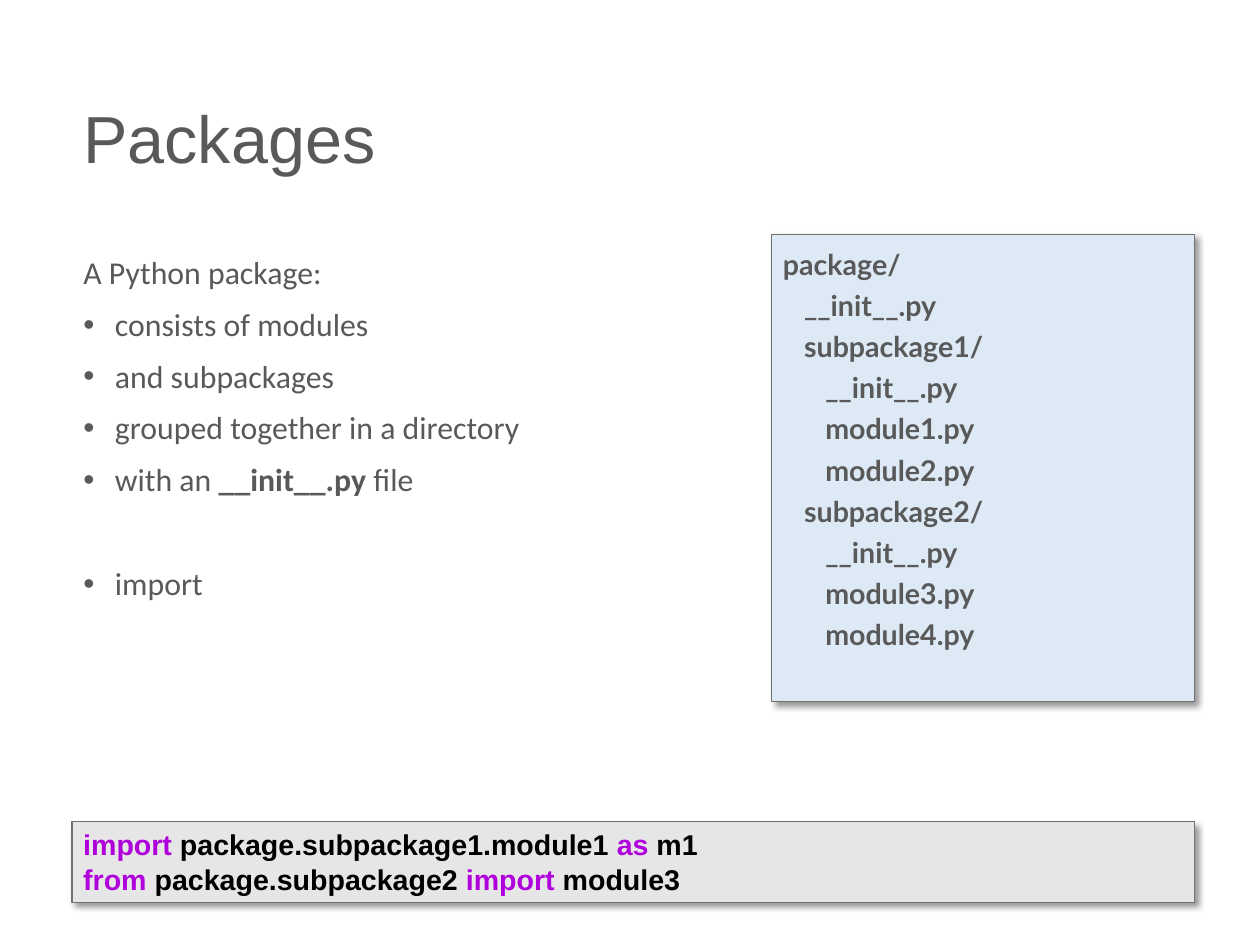
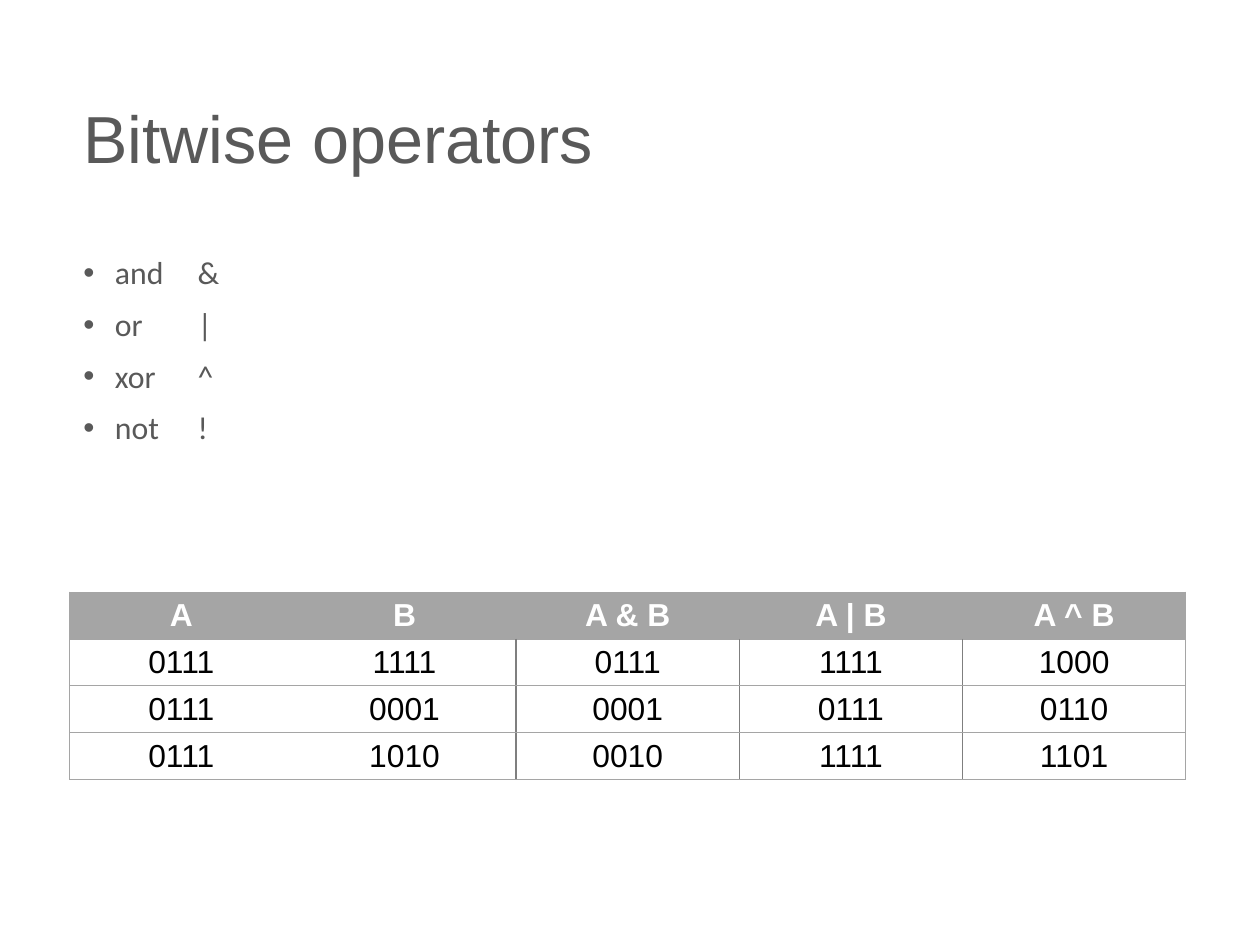
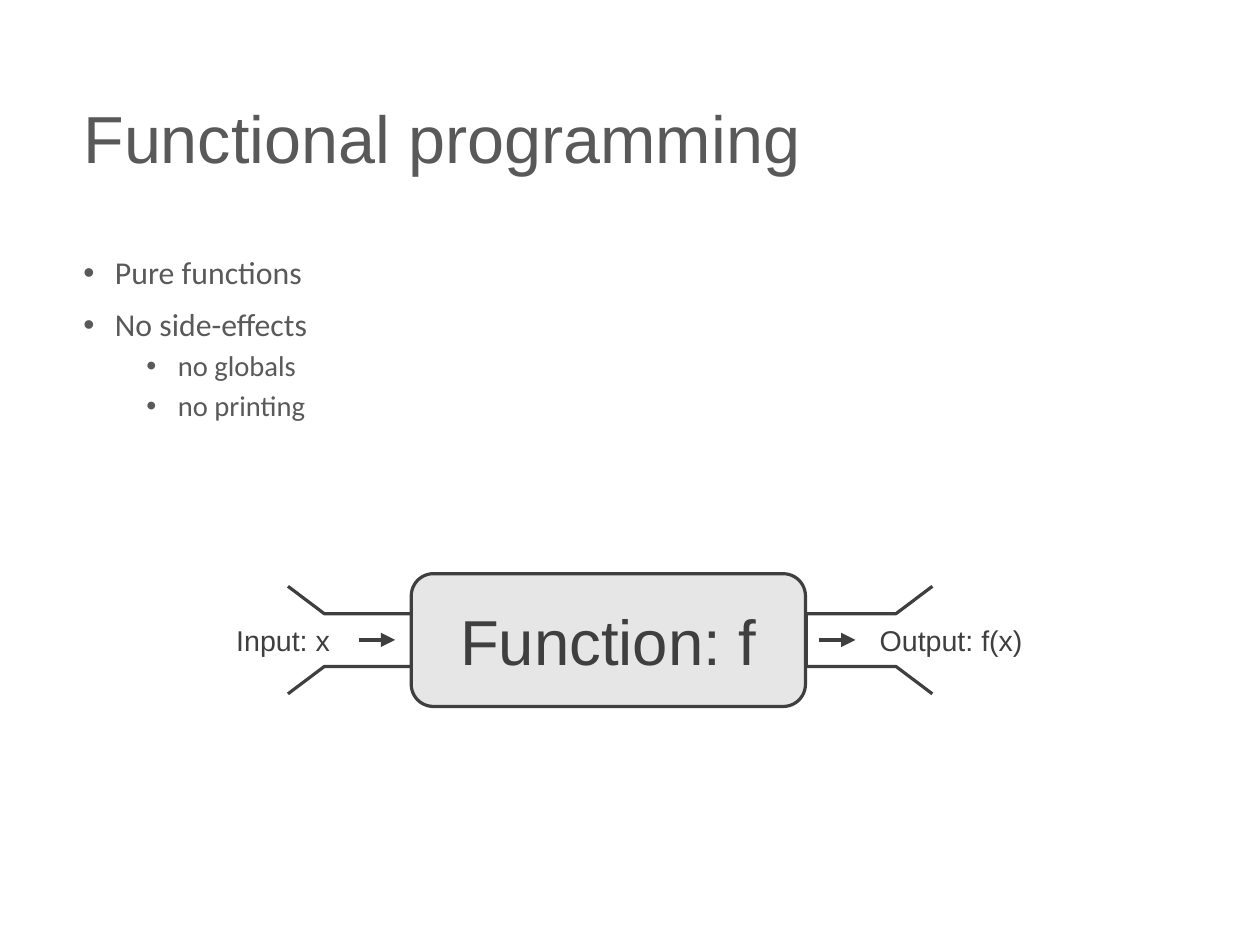
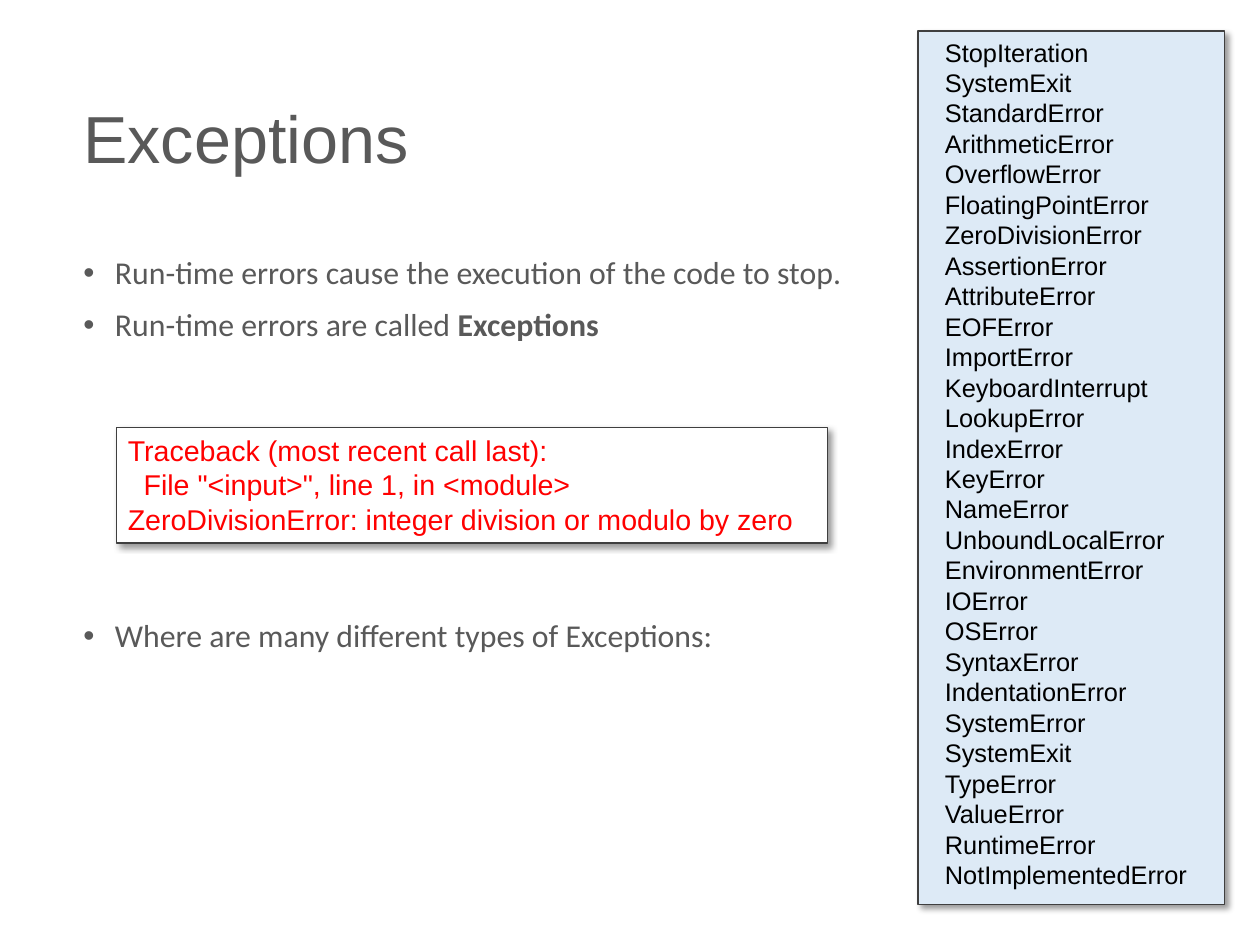
from collections.abc import Sequence
from dataclasses import dataclass

from lxml import etree
from pptx import Presentation
from pptx import util as u
from pptx.dml.color import RGBColor
from pptx.enum import shapes, text
from pptx.oxml import ns

TEXT_GRAY = RGBColor(0x59, 0x59, 0x59)
DARK_GRAY = RGBColor(0x3F, 0x3F, 0x3F)
WARM_GRAY = RGBColor(0x75, 0x70, 0x70)
PALE_GRAY = RGBColor(0xE7, 0xE6, 0xE6)
TABLE_GRAY = RGBColor(0xA5, 0xA5, 0xA5)
DIVIDER_GRAY = RGBColor(0x7F, 0x7F, 0x7F)
PALE_BLUE = RGBColor(0xDD, 0xEA, 0xF6)
KEYWORD_PURPLE = RGBColor(0xAF, 0x00, 0xDB)
ERROR_RED = RGBColor(0xFF, 0x00, 0x00)
BLACK = RGBColor(0, 0, 0)
WHITE = RGBColor(0xFF, 0xFF, 0xFF)

MARGIN = 1.6
CONTENT_WIDTH = 24.8
HANGING = 0.7
SUBLIST_INDENT = 2.1
LINE_PITCH = 32.7  # points from one body line to the next
LINE_GAP = 11
PLAIN_TABLE_STYLE = "{2D5ABB26-0587-4C30-8999-92F81FD0307C}"


@dataclass(frozen=True)
class Span:
    words: str
    bold: bool = False
    color: RGBColor | None = None


@dataclass(frozen=True)
class Item:
    """One body paragraph; skip is the number of lines left open above it."""
    spans: Sequence[Span]
    level: int = 0
    bullet: bool = True
    skip: int = 0


@dataclass(frozen=True)
class Line:
    spans: Sequence[Span]
    indent: float = 0


@dataclass(frozen=True)
class Panel:
    left: float
    top: float
    width: float
    height: float
    fill: RGBColor
    border: RGBColor
    inset: float = 0.25


@dataclass(frozen=True)
class Edge:
    color: RGBColor
    width: float


OUTLINE = Edge(TABLE_GRAY, 0.75)
DIVIDER = Edge(DIVIDER_GRAY, 1)


def item(words: str, level: int = 0, bullet: bool = True, skip: int = 0) -> Item:
    return Item([Span(words)], level, bullet, skip)


def add_xml(parent, tag: str, **attributes):
    return etree.SubElement(parent, ns.qn(tag), attributes)


def add_color(parent, color: RGBColor):
    return add_xml(add_xml(parent, "a:solidFill"), "a:srgbClr", val=str(color))


def write(para, words: str, *, size: float, color: RGBColor,
          font: str = "Arial", bold: bool = False) -> None:
    span = para.add_run()
    span.text = words
    span.font.name = font
    span.font.size = u.Pt(size)
    span.font.bold = bold
    span.font.color.rgb = color


def next_para(frame, index: int):
    return frame.paragraphs[0] if index == 0 else frame.add_paragraph()


def place(shape, left: float, top: float, width: float, height: float) -> None:
    shape.left, shape.top = u.Cm(left), u.Cm(top)
    shape.width, shape.height = u.Cm(width), u.Cm(height)


def set_bullet(para, level: int, bullet: bool) -> None:
    properties = para._p.get_or_add_pPr()
    left = SUBLIST_INDENT if level else HANGING
    properties.set("marL", str(u.Cm(left if bullet else 0)))
    properties.set("indent", str(u.Cm(-HANGING if bullet else 0)))
    if bullet:
        add_xml(add_xml(properties, "a:buClr"), "a:srgbClr", val=str(TEXT_GRAY))
        add_xml(properties, "a:buFont", typeface="Arial")
        add_xml(properties, "a:buChar", char="•")
    else:
        add_xml(properties, "a:buNone")


def add_page(deck, title: str, items: Sequence[Item],
             body_width: float = CONTENT_WIDTH):
    page = deck.slides.add_slide(deck.slide_layouts[1])
    heading, body = page.placeholders
    place(heading, MARGIN, 1.12, CONTENT_WIDTH, 4.06)
    place(body, MARGIN, 5.59, body_width, 15.11)
    for holder in (heading, body):
        holder.text_frame.auto_size = text.MSO_AUTO_SIZE.NONE
        holder.text_frame.word_wrap = True

    heading.text_frame.vertical_anchor = text.MSO_ANCHOR.MIDDLE
    para = heading.text_frame.paragraphs[0]
    para.alignment = text.PP_ALIGN.LEFT
    para.line_spacing = 0.9
    write(para, title, size=41.9, color=TEXT_GRAY)

    for index, entry in enumerate(items):
        para = next_para(body.text_frame, index)
        para.level = entry.level
        set_bullet(para, entry.level, entry.bullet)
        para.line_spacing = 0.9
        gap = LINE_GAP / 2 if entry.level else LINE_GAP
        para.space_before = u.Pt(gap + entry.skip * LINE_PITCH if index else 0)
        for span in entry.spans:
            write(para, span.words, font="Calibri", color=TEXT_GRAY,
                  size=18 if entry.level else 20, bold=span.bold)
    return page


def add_panel(page, panel: Panel, lines: Sequence[Line], *, size: float,
              color: RGBColor, font: str = "Arial", bold: bool = False,
              spacing: float = 1.0) -> None:
    """Draws a shadowed rectangle with left-aligned lines from the top."""
    box = page.shapes.add_shape(
        shapes.MSO_SHAPE.RECTANGLE, u.Cm(panel.left), u.Cm(panel.top),
        u.Cm(panel.width), u.Cm(panel.height))
    box.fill.solid()
    box.fill.fore_color.rgb = panel.fill
    box.line.color.rgb = panel.border
    box.line.width = u.Pt(0.75)
    box.shadow.inherit = False
    effects = box._element.spPr.find(ns.qn("a:effectLst"))
    shadow = add_xml(effects, "a:outerShdw", blurRad=str(u.Pt(4)),
                     dist=str(u.Pt(3)), dir="2700000", algn="tl",
                     rotWithShape="0")
    add_xml(add_xml(shadow, "a:srgbClr", val=str(BLACK)), "a:alpha", val="40000")

    frame = box.text_frame
    frame.word_wrap = True
    frame.vertical_anchor = text.MSO_ANCHOR.TOP
    frame.margin_left = u.Cm(panel.inset)
    for index, line in enumerate(lines):
        para = next_para(frame, index)
        para.alignment = text.PP_ALIGN.LEFT
        para.line_spacing = spacing
        if line.indent:
            para._p.get_or_add_pPr().set("marL", str(u.Cm(line.indent)))
        for span in line.spans:
            write(para, span.words, size=size, font=font, bold=bold,
                  color=span.color or color)


def set_edge(cell, side: str, edge: Edge) -> None:
    line = add_xml(cell._tc.get_or_add_tcPr(), f"a:ln{side}",
                   w=str(u.Pt(edge.width)))
    add_color(line, edge.color)


def cell_edges(row: int, column: int, last_row: int,
               last_column: int) -> dict[str, Edge]:
    """Edges of one cell, in the order the file format asks for."""
    edges = {}
    if column == 0:
        edges["L"] = OUTLINE
    elif row > 0 and column in (2, 3):
        edges["L"] = DIVIDER
    if column == last_column:
        edges["R"] = OUTLINE
    elif row > 0 and column in (1, 2):
        edges["R"] = DIVIDER
    if row in (0, 1, last_row):
        edges["T"] = OUTLINE
    if row in (0, last_row - 1, last_row):
        edges["B"] = OUTLINE
    return edges


def add_truth_table(page, rows: Sequence[Sequence[str]]) -> None:
    row_height = 1.04
    last_row, last_column = len(rows) - 1, len(rows[0]) - 1
    table = page.shapes.add_table(
        len(rows), len(rows[0]), u.Cm(1.55), u.Cm(13.16),
        u.Cm(CONTENT_WIDTH), u.Cm(row_height * len(rows))).table
    table.first_row = table.horz_banding = False
    table._tbl.tblPr.find(ns.qn("a:tableStyleId")).text = PLAIN_TABLE_STYLE
    for row, values in enumerate(rows):
        table.rows[row].height = u.Cm(row_height)
        header = row == 0
        for column, value in enumerate(values):
            cell = table.cell(row, column)
            edges = cell_edges(row, column, last_row, last_column)
            for side, edge in edges.items():
                set_edge(cell, side, edge)
            cell.fill.solid()
            cell.fill.fore_color.rgb = TABLE_GRAY if header else WHITE
            para = cell.text_frame.paragraphs[0]
            para.alignment = text.PP_ALIGN.CENTER
            write(para, value, size=20, bold=header,
                  color=WHITE if header else BLACK)


def add_funnel(page, points: Sequence[tuple[float, float]]) -> None:
    corners = [(u.Cm(x), u.Cm(y)) for x, y in points]
    builder = page.shapes.build_freeform(*corners[0])
    builder.add_line_segments(corners[1:], close=False)
    funnel = builder.convert_to_shape()
    funnel.fill.background()
    funnel.line.color.rgb = DARK_GRAY
    funnel.line.width = u.Pt(2)
    funnel.shadow.inherit = False


def add_arrow(page, left: float, y: float, length: float) -> None:
    arrow = page.shapes.add_connector(
        shapes.MSO_CONNECTOR.STRAIGHT, u.Cm(left), u.Cm(y),
        u.Cm(left + length), u.Cm(y))
    arrow.line.color.rgb = DARK_GRAY
    arrow.line.width = u.Pt(3)
    properties = arrow._element.spPr
    add_xml(properties.find(ns.qn("a:ln")), "a:tailEnd", type="triangle")
    add_xml(properties, "a:effectLst")


def add_label(page, words: str, left: float, width: float) -> None:
    box = page.shapes.add_textbox(u.Cm(left), u.Cm(13.72), u.Cm(width), u.Cm(1.02))
    box.text_frame.word_wrap = True
    write(box.text_frame.paragraphs[0], words, size=18, color=DARK_GRAY)


def add_function_diagram(page) -> None:
    mirror_x = 13.56
    left_funnel = [(6.4, 13.03), (7.21, 13.64), (9.2, 13.64),
                   (9.2, 14.81), (7.21, 14.81), (6.4, 15.42)]
    add_funnel(page, left_funnel)
    add_funnel(page, [(2 * mirror_x - x, y) for x, y in left_funnel])
    add_label(page, "Input: x", 5, 2.8)
    add_label(page, "Output: f(x)", 19.3, 3.9)
    for left in (7.98, 18.21):
        add_arrow(page, left, 14.22, 0.8)

    machine = page.shapes.add_shape(
        shapes.MSO_SHAPE.ROUNDED_RECTANGLE, u.Cm(9.14), u.Cm(12.75),
        u.Cm(8.76), u.Cm(2.95))
    machine.fill.solid()
    machine.fill.fore_color.rgb = PALE_GRAY
    machine.line.color.rgb = DARK_GRAY
    machine.line.width = u.Pt(2)
    machine.shadow.inherit = False
    machine.text_frame.vertical_anchor = text.MSO_ANCHOR.MIDDLE
    para = machine.text_frame.paragraphs[0]
    para.alignment = text.PP_ALIGN.CENTER
    write(para, "Function: f", size=40, color=DARK_GRAY)


def build_packages(deck) -> None:
    page = add_page(deck, "Packages", [
        item("A Python package:", bullet=False),
        item("consists of modules"),
        item("and subpackages"),
        item("grouped together in a directory"),
        Item([Span("with an "), Span("__init__.py ", bold=True), Span("file")]),
        item("import", skip=1),
    ])
    tree = [(0, "package/"), (1, "__init__.py"), (1, "subpackage1/"),
            (2, "__init__.py"), (2, "module1.py"), (2, "module2.py"),
            (1, "subpackage2/"), (2, "__init__.py"), (2, "module3.py"),
            (2, "module4.py")]
    add_panel(page, Panel(17.15, 5.21, 9.4, 10.39, PALE_BLUE, WARM_GRAY),
              [Line([Span(name)], indent=0.47 * depth) for depth, name in tree],
              size=18, color=TEXT_GRAY, font="Lato", bold=True, spacing=1.2)
    code = [("import", " package.subpackage1.module1 ", "as", " m1"),
            ("from", " package.subpackage2 ", "import", " module3")]
    keywords = {"import", "from", "as"}
    add_panel(page, Panel(MARGIN, 18.26, 24.94, 1.8, PALE_GRAY, WARM_GRAY),
              [Line([Span(part, color=KEYWORD_PURPLE if part in keywords else None)
                     for part in parts]) for parts in code],
              size=18, color=BLACK, bold=True)


def build_bitwise(deck) -> None:
    operators = ["and\t&", "or\t|", "xor\t^", "not\t!"]
    page = add_page(deck, "Bitwise operators", [item(words) for words in operators])
    add_truth_table(page, [
        ("A", "B", "A & B", "A | B", "A ^ B"),
        ("0111", "1111", "0111", "1111", "1000"),
        ("0111", "0001", "0001", "0111", "0110"),
        ("0111", "1010", "0010", "1111", "1101"),
    ])


def build_functional(deck) -> None:
    page = add_page(deck, "Functional programming", [
        item("Pure functions"),
        item("No side-effects"),
        item("no globals", level=1),
        item("no printing", level=1),
    ])
    add_function_diagram(page)


def build_exceptions(deck) -> None:
    page = add_page(deck, "Exceptions", [
        item("Run-time errors cause the execution of the code to stop."),
        Item([Span("Run-time errors are called "), Span("Exceptions", bold=True)]),
        item("Where are many different types of Exceptions:", skip=5),
    ], body_width=17.8)
    traceback = ["Traceback (most recent call last):",
                 '  File "<input>", line 1, in <module>',
                 "ZeroDivisionError: integer division or modulo by zero"]
    add_panel(page, Panel(2.59, 9.5, 15.8, 2.57, WHITE, DARK_GRAY),
              [Line([Span(words)]) for words in traceback],
              size=18, color=ERROR_RED)
    names = [
        "StopIteration", "SystemExit", "StandardError", "ArithmeticError",
        "OverflowError", "FloatingPointError", "ZeroDivisionError",
        "AssertionError", "AttributeError", "EOFError", "ImportError",
        "KeyboardInterrupt", "LookupError", "IndexError", "KeyError",
        "NameError", "UnboundLocalError", "EnvironmentError", "IOError",
        "OSError", "SyntaxError", "IndentationError", "SystemError",
        "SystemExit", "TypeError", "ValueError", "RuntimeError",
        "NotImplementedError",
    ]
    add_panel(page, Panel(20.4, 0.69, 6.81, 19.41, PALE_BLUE, DARK_GRAY, inset=0.6),
              [Line([Span(name)]) for name in names], size=16, color=BLACK)


def main() -> None:
    deck = Presentation()
    deck.slide_width, deck.slide_height = u.Cm(28), u.Cm(21)
    build_packages(deck)
    build_bitwise(deck)
    build_functional(deck)
    build_exceptions(deck)
    deck.save("out.pptx")


if __name__ == "__main__":
    main()
